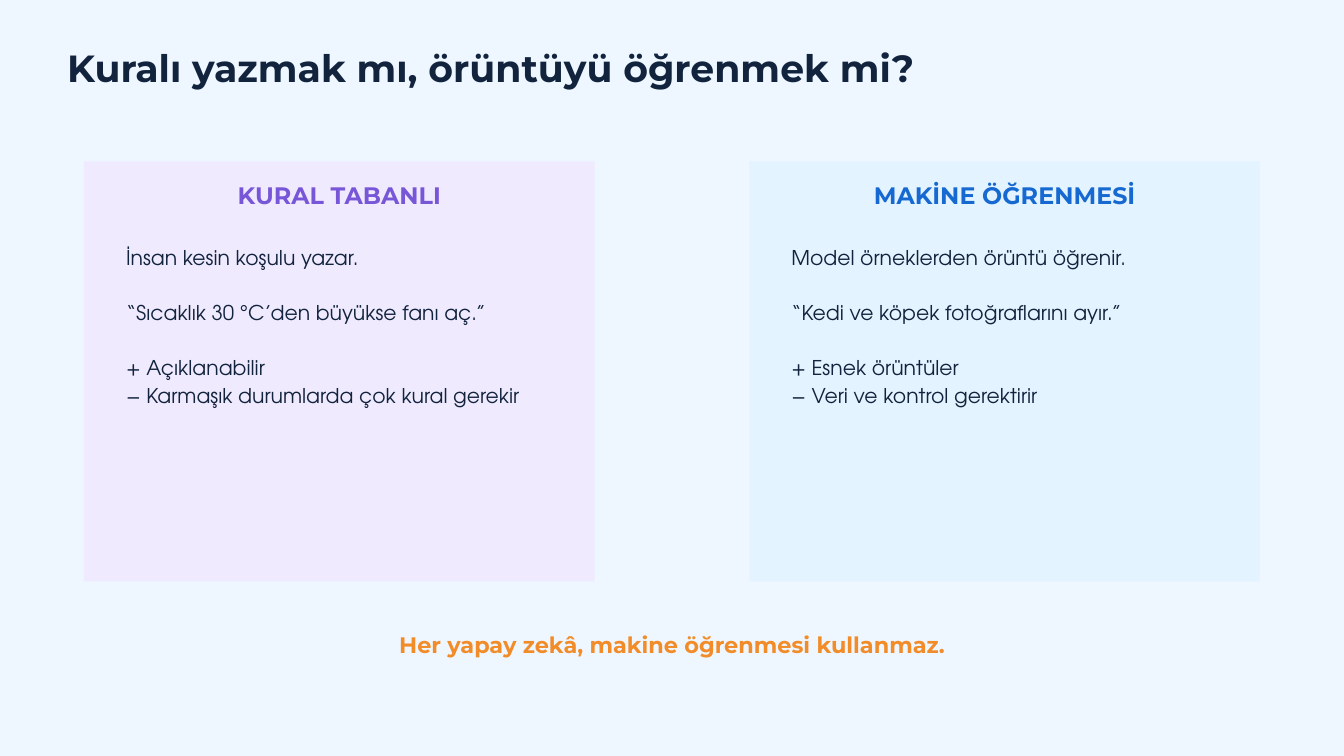
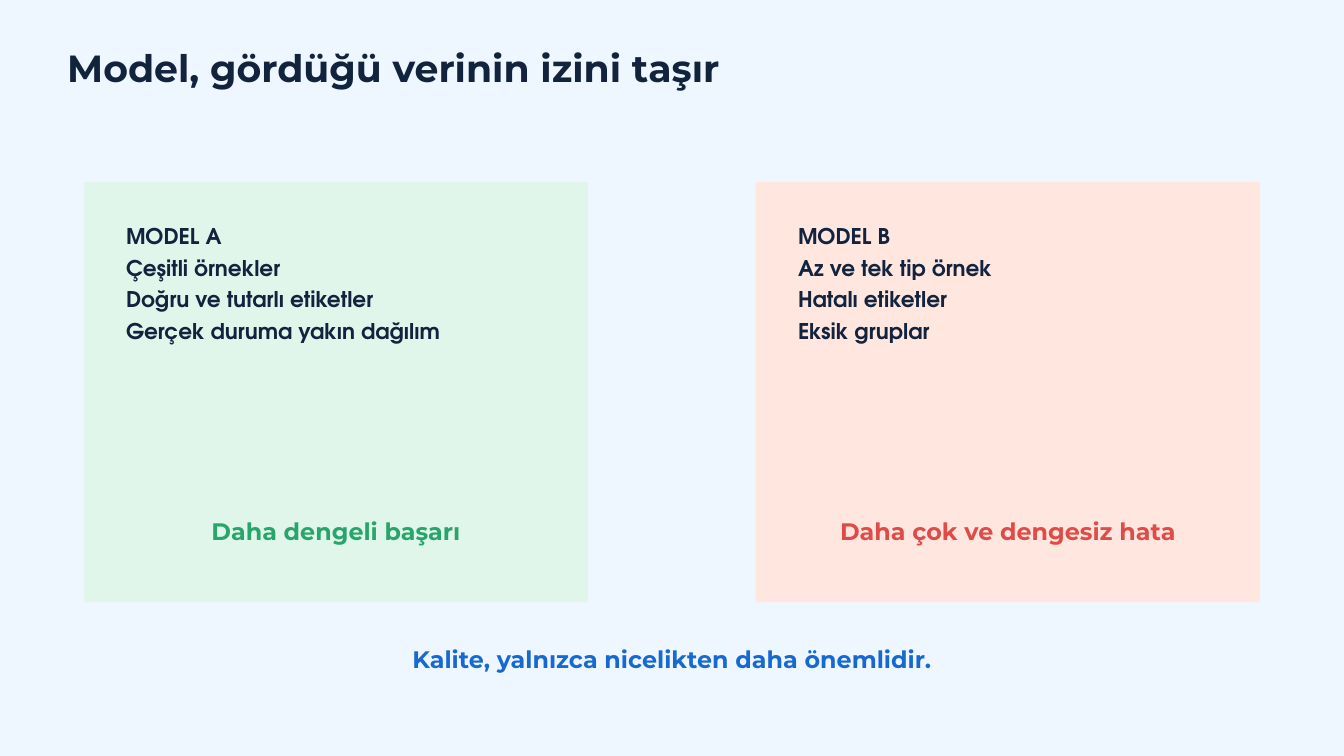
from pptx import Presentation
from pptx.dml.color import RGBColor
from pptx.enum.shapes import MSO_SHAPE as Shape
from pptx.enum.text import MSO_AUTO_SIZE as AutoSize, PP_ALIGN as Align
from pptx.util import Inches, Pt

COLORS = {
    "background": "EEF6FF", "ink": "12233D", "purple": "7856D8", "blue": "1769D2",
    "orange": "F28C28", "green": "28A56A", "red": "DF4B47", "lilac": "F0EAFF",
    "sky": "E3F3FF", "mint": "E0F6EA", "peach": "FFE6DF",
}
HEADING_FONT = "Montserrat"
BODY_FONT = "TeX Gyre Adventor"
SLIDE_WIDTH, SLIDE_HEIGHT = 20, 11.25
MARGIN = 1.25
PANEL_HEIGHT = 6.25
BODY_INSET = 0.625

TITLE_STYLE = dict(size=40.5, leading=43.7, bold=True)
LABEL_STYLE = dict(size=25.5, leading=35.7, bold=True, align=Align.CENTER)
NOTE_STYLE = dict(LABEL_STYLE, size=24, leading=33.6)
RULES_STYLE = dict(size=21.8, leading=29.4, font=BODY_FONT)
MODEL_STYLE = dict(size=23.2, leading=33.7, font=BODY_FONT, bold=True)

SLIDES = [
    {
        "title": "Kuralı yazmak mı, örüntüyü öğrenmek mi?", "title_width": 16.67,
        "panel_top": 2.4, "panel_width": 7.6,
        "label_offset": 0.22, "body_offset": 1.21, "body_height": 2.42,
        "body_style": RULES_STYLE, "gap_before": (1, 2),
        "panels": [
            {"fill": "lilac", "label": "KURAL TABANLI", "color": "purple", "label_width": 6.77,
             "body": ["İnsan kesin koşulu yazar.",
                      "“Sıcaklık 30 °C’den büyükse fanı aç.”",
                      "+ Açıklanabilir",
                      "− Karmaşık durumlarda çok kural gerekir"]},
            {"fill": "sky", "label": "MAKİNE ÖĞRENMESİ", "color": "blue", "label_width": 6.77,
             "body": ["Model örneklerden örüntü öğrenir.",
                      "“Kedi ve köpek fotoğraflarını ayır.”",
                      "+ Esnek örüntüler",
                      "− Veri ve kontrol gerektirir"]},
        ],
        "note": "Her yapay zekâ, makine öğrenmesi kullanmaz.", "note_color": "orange",
        "note_top": 9.33, "note_size": (8.96, 0.43), "note_style": NOTE_STYLE,
    },
    {
        "title": "Model, gördüğü verinin izini taşır", "title_width": 15.62,
        "panel_top": 2.71, "panel_width": 7.5,
        "label_offset": 4.91, "body_offset": 0.53, "body_height": 1.79,
        "body_style": MODEL_STYLE, "gap_before": (),
        "panels": [
            {"fill": "mint", "label": "Daha dengeli başarı", "color": "green", "label_width": 5.21,
             "body": ["MODEL A", "Çeşitli örnekler", "Doğru ve tutarlı etiketler",
                      "Gerçek duruma yakın dağılım"]},
            {"fill": "peach", "label": "Daha çok ve dengesiz hata", "color": "red", "label_width": 5.83,
             "body": ["MODEL B", "Az ve tek tip örnek", "Hatalı etiketler",
                      "Eksik gruplar"]},
        ],
        "note": "Kalite, yalnızca nicelikten daha önemlidir.", "note_color": "blue",
        "note_top": 9.53, "note_size": (9.17, 0.47), "note_style": LABEL_STYLE,
    },
]


def rgb(name):
    return RGBColor.from_string(COLORS[name])


def add_text(shapes, lines, left, top, width, height, size, leading, color="ink",
             font=HEADING_FONT, bold=False, align=Align.LEFT, gap_before=()):
    box = shapes.add_textbox(Inches(left), Inches(top), Inches(width), Inches(height))
    frame = box.text_frame
    frame.word_wrap = True
    frame.auto_size = AutoSize.SHAPE_TO_FIT_TEXT
    frame.margin_left = frame.margin_right = frame.margin_top = frame.margin_bottom = 0
    for index, line in enumerate(lines):
        paragraph = frame.paragraphs[0] if index == 0 else frame.add_paragraph()
        paragraph.text = line
        paragraph.alignment = align
        paragraph.line_spacing = Pt(leading)
        if index in gap_before:
            paragraph.space_before = Pt(leading)
        paragraph.font.name = font
        paragraph.font.size = Pt(size)
        paragraph.font.bold = bold
        paragraph.font.color.rgb = rgb(color)


def add_panel(slide, content, panel, left):
    shapes = slide.shapes.add_group_shape().shapes
    top, width = content["panel_top"], content["panel_width"]
    card = shapes.add_shape(Shape.RECTANGLE, Inches(left), Inches(top),
                            Inches(width), Inches(PANEL_HEIGHT))
    card.shadow.inherit = False
    card.fill.solid()
    card.fill.fore_color.rgb = rgb(panel["fill"])
    card.line.fill.background()
    label_width = panel["label_width"]
    add_text(shapes, [panel["label"]], left + (width - label_width) / 2,
             top + content["label_offset"], label_width, 0.46,
             color=panel["color"], **LABEL_STYLE)
    add_text(shapes, panel["body"], left + BODY_INSET, top + content["body_offset"],
             width - 2 * BODY_INSET, content["body_height"],
             gap_before=content["gap_before"], **content["body_style"])


def add_comparison(presentation, content):
    slide = presentation.slides.add_slide(presentation.slide_layouts[6])
    slide.background.fill.solid()
    slide.background.fill.fore_color.rgb = rgb("background")
    add_text(slide.shapes, [content["title"]], 1, 0.74, content["title_width"], 0.61,
             **TITLE_STYLE)
    panel_lefts = MARGIN, SLIDE_WIDTH - MARGIN - content["panel_width"]
    for panel, left in zip(content["panels"], panel_lefts):
        add_panel(slide, content, panel, left)
    note_width, note_height = content["note_size"]
    add_text(slide.shapes, [content["note"]], (SLIDE_WIDTH - note_width) / 2,
             content["note_top"], note_width, note_height,
             color=content["note_color"], **content["note_style"])


def main():
    presentation = Presentation()
    presentation.slide_width = Inches(SLIDE_WIDTH)
    presentation.slide_height = Inches(SLIDE_HEIGHT)
    for content in SLIDES:
        add_comparison(presentation, content)
    presentation.save("out.pptx")


if __name__ == "__main__":
    main()
